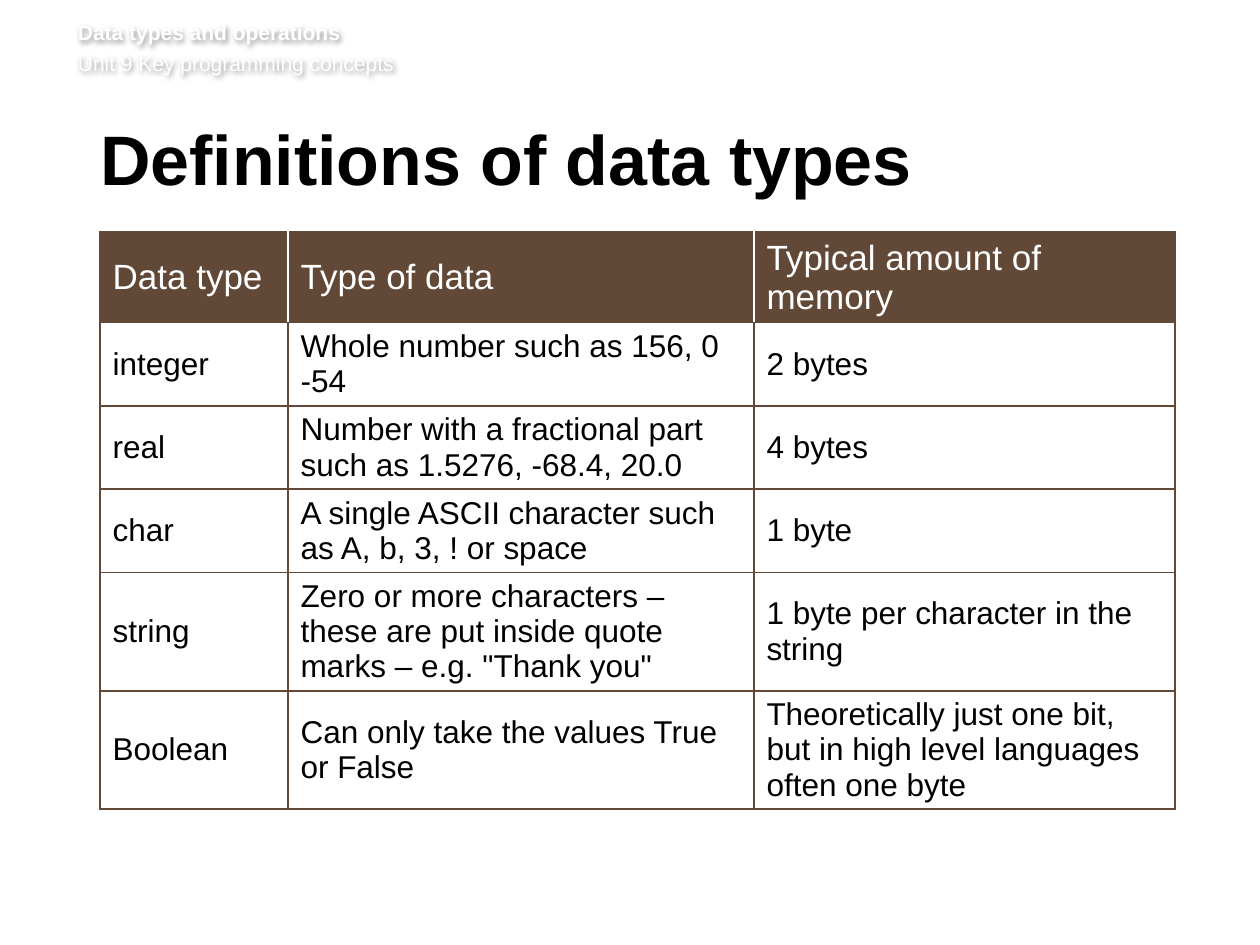
import dataclasses

import lxml.etree
import pptx
import pptx.dml.color
import pptx.enum.text
import pptx.oxml
import pptx.oxml.ns
import pptx.util

EMU_PER_PX = 914400 / 126
FONT = "Arial"
BROWN, WHITE, BLACK = "624837", "FFFFFF", "000000"

COLUMN_WIDTHS = (188, 466, 421)
ROW_HEIGHTS = (90, 83, 83, 83, 118, 118)
HEADINGS = ("Data type", "Type of data", "Typical amount of memory")


@dataclasses.dataclass(frozen=True)
class DataType:
    name: str
    description: str
    memory: str


DATA_TYPES = (
    DataType("integer", "Whole number such as 156, 0 -54", "2 bytes"),
    DataType("real", "Number with a fractional part such as 1.5276, -68.4, 20.0", "4 bytes"),
    DataType("char", "A single ASCII character such as A, b, 3, ! or space", "1 byte"),
    DataType(
        "string",
        'Zero or more characters – these are put inside quote marks – e.g. "Thank you"',
        "1 byte per character in the string",
    ),
    DataType(
        "Boolean",
        "Can only take the values True or False",
        "Theoretically just one bit, but in high level languages often one byte",
    ),
)


def px(length: int) -> pptx.util.Emu:
    return pptx.util.Emu(round(length * EMU_PER_PX))


def rgb(value: str) -> pptx.dml.color.RGBColor:
    return pptx.dml.color.RGBColor.from_string(value)


def write(paragraph, text: str, *, size: int, color: str, bold: bool = False) -> None:
    run = paragraph.add_run()
    run.text = text
    run.font.name = FONT
    run.font.size = pptx.util.Pt(size)
    run.font.bold = bold
    run.font.color.rgb = rgb(color)


def set_frame(frame, left: int, top: int, right: int, bottom: int) -> None:
    """Give a text frame its insets, wrapping and top anchor."""
    frame.margin_left, frame.margin_top = px(left), px(top)
    frame.margin_right, frame.margin_bottom = px(right), px(bottom)
    frame.word_wrap = True
    frame.auto_size = pptx.enum.text.MSO_AUTO_SIZE.NONE
    frame.vertical_anchor = pptx.enum.text.MSO_ANCHOR.TOP


def add_soft_shadow(shape) -> None:
    """Put a blurred shadow behind the text of an unfilled shape."""
    shape._element.spPr.append(pptx.oxml.parse_xml(
        f'<a:effectLst {pptx.oxml.ns.nsdecls("a")}>'
        f'<a:outerShdw blurRad="{px(5)}" dist="{px(2)}" dir="2700000" algn="tl" rotWithShape="0">'
        f'<a:srgbClr val="{BLACK}"><a:alpha val="40000"/></a:srgbClr>'
        "</a:outerShdw></a:effectLst>"
    ))


def add_unit_header(slide) -> None:
    header = slide.shapes.add_textbox(px(78), px(20), px(1111), px(62))
    frame = header.text_frame
    set_frame(frame, 0, 0, 0, 6)
    write(frame.paragraphs[0], "Data types and operations", size=12, color=WHITE, bold=True)
    unit = frame.add_paragraph()
    unit.space_before = pptx.util.Pt(2.9)
    write(unit, "Unit 9 Key programming concepts", size=12, color=WHITE)
    add_soft_shadow(header)


def format_title(title, text: str) -> None:
    title.left, title.top, title.width, title.height = px(100), px(125), px(1077), px(92)
    set_frame(title.text_frame, 0, 6, 13, 6)
    paragraph = title.text_frame.paragraphs[0]
    paragraph.alignment = pptx.enum.text.PP_ALIGN.LEFT
    paragraph.line_spacing = pptx.util.Pt(39)
    paragraph.space_after = pptx.util.Pt(15)
    write(paragraph, text, size=40, color=BLACK, bold=True)


def set_borders(cell, left: str, right: str) -> None:
    """Draw all four cell borders; top and bottom are always brown."""
    properties = cell._tc.get_or_add_tcPr()
    sides = {"lnL": left, "lnR": right, "lnT": BROWN, "lnB": BROWN}
    for position, (tag, color) in enumerate(sides.items()):
        line = pptx.oxml.parse_xml(
            f'<a:{tag} {pptx.oxml.ns.nsdecls("a")} w="{pptx.util.Pt(1)}">'
            f'<a:solidFill><a:srgbClr val="{color}"/></a:solidFill></a:{tag}>'
        )
        properties.insert(position, line)


def add_data_type_table(slide) -> None:
    rows = [HEADINGS] + [dataclasses.astuple(data_type) for data_type in DATA_TYPES]
    table = slide.shapes.add_table(
        len(rows), len(HEADINGS), px(100), px(232), px(sum(COLUMN_WIDTHS)), px(sum(ROW_HEIGHTS))
    ).table
    table.horz_banding = False
    for column, width in zip(table.columns, COLUMN_WIDTHS):
        column.width = px(width)
    for row, height in zip(table.rows, ROW_HEIGHTS):
        row.height = px(height)

    last_column = len(HEADINGS) - 1
    for row_index, texts in enumerate(rows):
        is_heading = row_index == 0
        inner = WHITE if is_heading else BROWN
        for column_index, text in enumerate(texts):
            cell = table.cell(row_index, column_index)
            cell.vertical_anchor = pptx.enum.text.MSO_ANCHOR.MIDDLE
            if is_heading:
                cell.fill.solid()
                cell.fill.fore_color.rgb = rgb(BROWN)
            else:
                cell.fill.background()
            set_borders(
                cell,
                left=BROWN if column_index == 0 else inner,
                right=BROWN if column_index == last_column else inner,
            )
            write(
                cell.text_frame.paragraphs[0],
                text,
                size=20 if is_heading else 18,
                color=WHITE if is_heading else BLACK,
            )


def main() -> None:
    presentation = pptx.Presentation()
    presentation.slide_width, presentation.slide_height = px(1260), px(945)
    slide = presentation.slides.add_slide(presentation.slide_layouts.get_by_name("Title Only"))
    add_unit_header(slide)
    format_title(slide.shapes.title, "Definitions of data types")
    add_data_type_table(slide)
    presentation.save("out.pptx")


if __name__ == "__main__":
    main()
